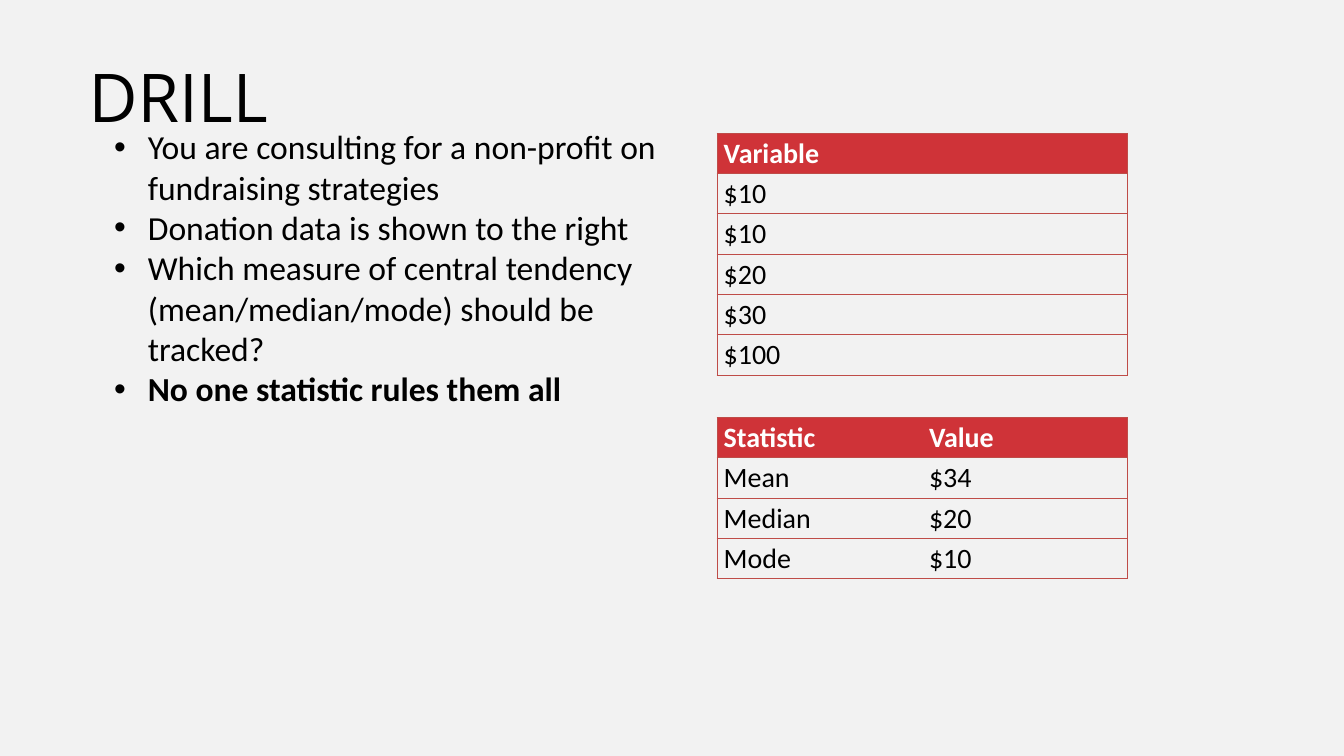
from dataclasses import dataclass

from lxml import etree
from pptx import Presentation
from pptx.dml.color import RGBColor
from pptx.enum.text import MSO_ANCHOR, MSO_AUTO_SIZE, PP_ALIGN
from pptx.oxml.ns import qn
from pptx.util import Inches, Pt

TOP = MSO_ANCHOR.TOP
GROW = MSO_AUTO_SIZE.SHAPE_TO_FIT_TEXT
LEFT = PP_ALIGN.LEFT

# The slide is a grid of 200 columns by 112.5 rows
UNIT = Inches(0.1)
COLS, ROWS = 200, 112.5


@dataclass(frozen=True)
class Theme:
    back: str = "F2F2F2"
    ink: str = "000000"
    light: str = "FFFFFF"
    head: str = "CF3338"
    rule: str = "BF4C48"
    title_font: str = "Open Sans"
    text_font: str = "Calibri"
    title_size: int = 72
    list_size: int = 36
    cell_size: int = 30
    rule_width: float = 0.75


def grid(n):
    return round(n * UNIT)


def rgb(color):
    return RGBColor.from_string(color)


class Page:
    def __init__(self, deck, theme):
        self.theme = theme
        self.slide = deck.slides.add_slide(deck.slide_layouts[1])
        fill = self.slide.background.fill
        fill.solid()
        fill.fore_color.rgb = rgb(theme.back)

    def style(self, para, name, size, color, bold=False):
        font = para.font
        font.name, font.size, font.bold = name, Pt(size), bold
        font.color.rgb = rgb(color)
        para.alignment = LEFT

    def place(self, shape, x, y, w, h):
        shape.left, shape.top = grid(x), grid(y)
        shape.width, shape.height = grid(w), grid(h)
        frame = shape.text_frame
        frame.margin_left = frame.margin_right = 0
        frame.margin_top = frame.margin_bottom = 0
        frame.word_wrap, frame.auto_size = True, GROW
        frame.vertical_anchor = TOP
        return frame

    def title(self, text, *box):
        frame = self.place(self.slide.shapes.title, *box)
        frame.text = text
        para = frame.paragraphs[0]
        para.line_spacing = Pt(100.8)
        self.style(para, self.theme.title_font, self.theme.title_size,
                   self.theme.ink)

    def bullets(self, items, *box):
        frame = self.place(self.slide.placeholders[1], *box)
        frame.text = "\n".join(text for text, bold in items)
        for para, (text, bold) in zip(frame.paragraphs, items):
            para.level = 1
            props = para._p.get_or_add_pPr()
            props.set("marL", str(Inches(0.88)))
            props.set("indent", str(-Inches(0.5)))
            etree.SubElement(props, qn("a:buFont"), typeface="Arial")
            etree.SubElement(props, qn("a:buChar"), char="•")
            para.space_before = para.space_after = Pt(0)
            para.line_spacing = 1.0
            self.style(para, self.theme.text_font, self.theme.list_size,
                       self.theme.ink, bold)

    def border(self, cell, side, shown):
        props = cell._tc.get_or_add_tcPr()
        line = etree.SubElement(props, qn("a:ln" + side),
                                w=str(Pt(self.theme.rule_width)))
        if shown:
            fill = etree.SubElement(line, qn("a:solidFill"))
            etree.SubElement(fill, qn("a:srgbClr"), val=self.theme.rule)
        else:
            etree.SubElement(line, qn("a:noFill"))

    def table(self, rows, x, y, w, step):
        count, wide = len(rows), len(rows[0])
        table = self.slide.shapes.add_table(
            count, wide, grid(x), grid(y), grid(w), grid(step * count)).table
        table.horz_banding = False
        for col in table.columns:
            col.width = grid(w / wide)
        for r, row in enumerate(rows):
            table.rows[r].height = grid(step)
            for c, text in enumerate(row):
                self.cell(table.cell(r, c), text, r == 0,
                          c == 0, c == wide - 1)

    def cell(self, cell, text, head, first, last):
        # Rules run around the table and between rows, not between columns
        for side, shown in zip("LRTB", (first, last, True, True)):
            self.border(cell, side, shown)
        if head:
            cell.fill.solid()
            cell.fill.fore_color.rgb = rgb(self.theme.head)
        else:
            cell.fill.background()
        cell.text = text
        color = self.theme.light if head else self.theme.ink
        self.style(cell.text_frame.paragraphs[0], self.theme.text_font,
                   self.theme.cell_size, color, head)


def main():
    deck = Presentation()
    deck.slide_width, deck.slide_height = grid(COLS), grid(ROWS)
    page = Page(deck, Theme())

    # Question on the left
    page.title("DRILL", 13.2, 6.3, 35, 13.4)
    page.bullets([
        ("You are consulting for a non-profit on fundraising strategies", False),
        ("Donation data is shown to the right", False),
        ("Which measure of central tendency (mean/median/mode) "
         "should be tracked?", False),
        ("No one statistic rules them all", True),
    ], 13.2, 18.8, 90.1, 36.4)

    # Donations and their statistics on the right
    left, width, step = 106.7, 61.1, 6
    gifts = ["Variable", "$10", "$10", "$20", "$30", "$100"]
    page.table([[gift] for gift in gifts], left, 19.8, width, step)
    page.table([("Statistic", "Value"), ("Mean", "$34"),
                ("Median", "$20"), ("Mode", "$10")],
               left, 62.1, width, step)

    deck.save("out.pptx")


if __name__ == "__main__":
    main()
